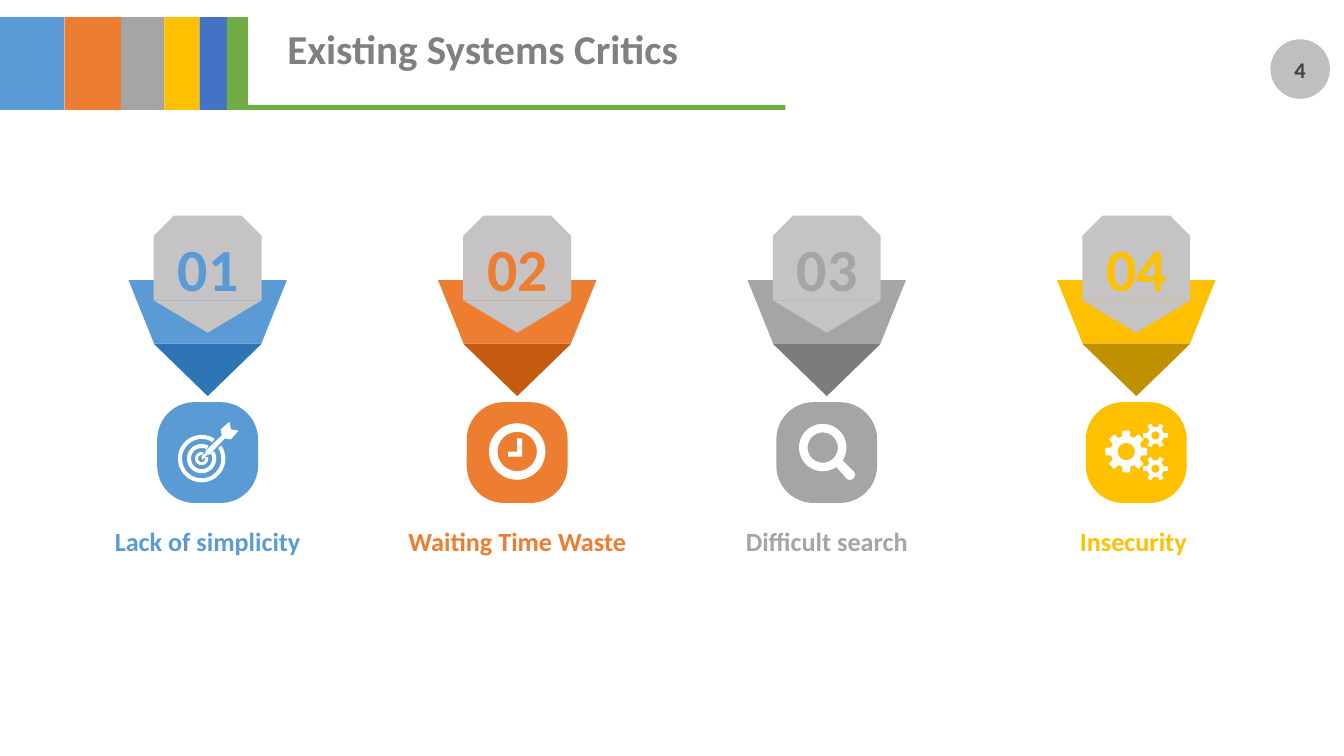
import math

import pptx
import pptx.dml.color
import pptx.enum.shapes
import pptx.enum.text
import pptx.util

Inches = pptx.util.Inches
Shapes = pptx.enum.shapes.MSO_SHAPE
Anchor = pptx.enum.text.MSO_ANCHOR
Align = pptx.enum.text.PP_ALIGN

presentation = pptx.Presentation()
presentation.slide_width = Inches(13.33)
presentation.slide_height = Inches(7.5)
slide = presentation.slides.add_slide(presentation.slide_layouts[5])


def paint(shape, color):
    shape.fill.solid()
    shape.fill.fore_color.rgb = pptx.dml.color.RGBColor.from_string(color)
    shape.line.fill.background()
    shape.shadow.inherit = False


def write(shape, text, size, color, align=Align.CENTER, anchor=Anchor.TOP,
          wrap=True, margins=(0.1, 0.05), spacing=1.0):
    frame = shape.text_frame
    frame.word_wrap = wrap
    frame.vertical_anchor = anchor
    frame.margin_left = frame.margin_right = Inches(margins[0])
    frame.margin_top = frame.margin_bottom = Inches(margins[1])
    paragraph = frame.paragraphs[0]
    paragraph.alignment = align
    paragraph.line_spacing = spacing
    run = paragraph.add_run()
    run.text = text
    run.font.name = "Calibri"
    run.font.size = pptx.util.Pt(size)
    run.font.bold = True
    run.font.color.rgb = pptx.dml.color.RGBColor.from_string(color)


write(slide.shapes.title, "Existing Systems Critics", 29.3, "808080", align=Align.LEFT,
      anchor=Anchor.MIDDLE, margins=(0, 0), spacing=0.9)
title = slide.shapes.title
title.left, title.top = Inches(2.85), Inches(0.28)
title.width, title.height = Inches(6.48), Inches(0.45)

page_badge = slide.shapes.add_shape(Shapes.OVAL, Inches(12.6), Inches(0.39), Inches(0.59), Inches(0.59))
paint(page_badge, "BFBFBF")
write(page_badge, "4", 16, "404040", anchor=Anchor.MIDDLE, margins=(0, 0))

stripe_edges = [0, 0.64, 1.2, 1.63, 1.98, 2.25, 2.46]
stripe_colors = ["5B9BD5", "ED7D31", "A5A5A5", "FFC000", "4472C4", "70AD47"]
for left, right, color in zip(stripe_edges, stripe_edges[1:], stripe_colors):
    stripe = slide.shapes.add_shape(Shapes.RECTANGLE, Inches(left), Inches(0.17), Inches(right - left), Inches(0.92))
    paint(stripe, color)
underline = slide.shapes.add_shape(Shapes.RECTANGLE, Inches(2.46), Inches(1.04), Inches(5.33), Inches(0.05))
paint(underline, "70AD47")

critics = [
    ("Lack of simplicity", "5B9BD5", "2E75B6"),
    ("Waiting Time Waste", "ED7D31", "C55A11"),
    ("Difficult search", "A5A5A5", "7C7C7C"),
    ("Insecurity ", "FFC000", "BF9000"),
]
for index, (caption, color, dark_color) in enumerate(critics):
    center = 2.06 + 3.07 * index
    parts = [
        (Shapes.TRAPEZOID, 2.78, 1.57, 0.63, 180, [0.402], color),
        (Shapes.ISOSCELES_TRIANGLE, 3.41, 1.07, 0.52, 180, [], dark_color),
        (Shapes.SNIP_2_SAME_RECTANGLE, 2.14, 1.07, 0.84, 0, [0.238, 0], "C5C3C3"),
        (Shapes.ISOSCELES_TRIANGLE, 2.98, 1.07, 0.32, 180, [], "C5C3C3"),
        (Shapes.ROUNDED_RECTANGLE, 3.99, 1, 1, 0, [0.37], color),
    ]
    for kind, top, width, height, rotation, adjustments, fill in parts:
        part = slide.shapes.add_shape(kind, Inches(center - width / 2), Inches(top), Inches(width), Inches(height))
        part.rotation = rotation
        for position, value in enumerate(adjustments):
            part.adjustments[position] = value
        paint(part, fill)
    number = slide.shapes.add_textbox(Inches(center - 0.4), Inches(2.25), Inches(0.81), Inches(0.82))
    write(number, f"{index + 1:02}", 42.7, color, wrap=False)
    label = slide.shapes.add_textbox(Inches(center - 1.44), Inches(5.16), Inches(2.88), Inches(0.42))
    write(label, caption, 18.7, color)

arcs = {}
for name, x, y, radius, start, end in [
    ("target outer", 2, 4.55, 0.235, -33, 303),
    ("target outer hole", 2, 4.55, 0.195, 303, -33),
    ("target middle", 2, 4.55, 0.145, -30, 298),
    ("target middle hole", 2, 4.55, 0.105, 298, -30),
    ("target inner", 2, 4.55, 0.065, -15, 285),
    ("target inner hole", 2, 4.55, 0.035, 285, -15),
    ("clock", 5.13, 4.48, 0.28, 0, 360),
    ("clock hole", 5.13, 4.48, 0.195, 0, 360),
    ("lens", 8.16, 4.44, 0.235, 55, 393),
    ("lens handle", 8.43, 4.71, 0.05, -45, 135),
    ("lens hole", 8.16, 4.44, 0.15, 0, 360),
    ("large gear hole", 11.17, 4.48, 0.085, 0, 360),
    ("upper gear hole", 11.46, 4.32, 0.04, 0, 360),
    ("lower gear hole", 11.46, 4.65, 0.04, 0, 360),
]:
    angles = [math.radians(start + (end - start) * step / 48) for step in range(49)]
    arcs[name] = [(x + radius * math.cos(angle), y + radius * math.sin(angle)) for angle in angles]

gears = {}
for name, x, y, teeth, tip, root in [
    ("large gear", 11.17, 4.48, 8, 0.21, 0.155),
    ("upper gear", 11.46, 4.32, 6, 0.125, 0.085),
    ("lower gear", 11.46, 4.65, 6, 0.125, 0.085),
]:
    gears[name] = []
    for tooth in range(teeth):
        for radius, offset in [(root, -15), (tip, -10), (tip, 10), (root, 15)]:
            angle = math.radians(360 * tooth / teeth + offset)
            gears[name].append((x + radius * math.cos(angle), y + radius * math.sin(angle)))

arrow = [(2.36, 4.27), (2.29, 4.26), (2.28, 4.19), (2.27, 4.19), (2.19, 4.26), (2.2, 4.32),
         (2.04, 4.47), (2.04, 4.49), (2, 4.53), (2, 4.55), (2.01, 4.56), (2.02, 4.55),
         (2.06, 4.51), (2.08, 4.51), (2.23, 4.35), (2.29, 4.36), (2.36, 4.28)]
clock_hands = [(5.13, 4.35), (5.18, 4.35), (5.18, 4.53), (5.04, 4.53), (5.04, 4.48), (5.13, 4.48)]
icons = [
    [arcs["target outer"] + arcs["target outer hole"]],
    [arcs["target middle"] + arcs["target middle hole"]],
    [arcs["target inner"] + arcs["target inner hole"]],
    [arrow],
    [arcs["clock"], arcs["clock hole"], clock_hands],
    [arcs["lens"] + arcs["lens handle"], arcs["lens hole"]],
    [outline for name in gears for outline in (gears[name], arcs[name + " hole"])],
]
for outlines in icons:
    contours = [[(Inches(x), Inches(y)) for x, y in outline] for outline in outlines]
    builder = slide.shapes.build_freeform(*contours[0][0])
    for contour in contours:
        if contour is not contours[0]:
            builder.move_to(*contour[0])
        builder.add_line_segments(contour[1:], close=True)
    paint(builder.convert_to_shape(), "FFFFFF")

presentation.save("out.pptx")
